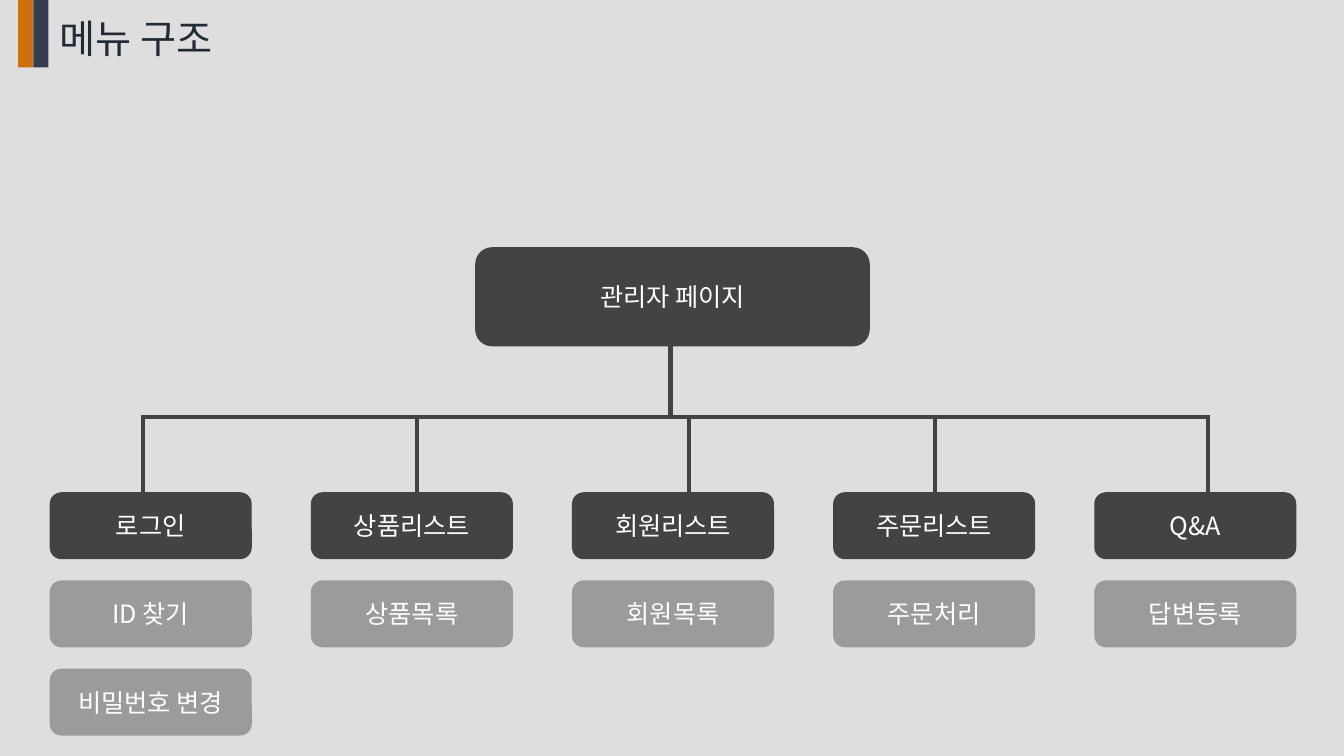
from lxml import etree
from pptx import Presentation
from pptx.dml.color import RGBColor
from pptx.enum.shapes import MSO_CONNECTOR, MSO_SHAPE
from pptx.enum.text import MSO_ANCHOR, MSO_AUTO_SIZE, PP_ALIGN
from pptx.oxml.ns import qn
from pptx.util import Inches, Pt

RECT, ROUNDED = MSO_SHAPE.RECTANGLE, MSO_SHAPE.ROUNDED_RECTANGLE
STRAIGHT = MSO_CONNECTOR.STRAIGHT
MIDDLE, CENTER = MSO_ANCHOR.MIDDLE, PP_ALIGN.CENTER
GROW = MSO_AUTO_SIZE.SHAPE_TO_FIT_TEXT

COLORS = {
    "background": "DFDEDE",
    "dark": "434343",
    "gray": "9B9B9B",
    "orange": "CD700D",
    "navy": "333F50",
    "title": "222A35",
    "white": "FFFFFF",
}
FONT = "Noto Sans CJK KR"

LEFT, COLUMN_STEP = 0.5, 2.59
TOP, ROW_STEP = 4.89, 0.875
BOX_W, BOX_H = 1.99, 0.65
BUS_Y, STEM_TOP = 4.14, 4.12
STEM_XS = [1.42, 4.14, 6.83, 9.27, 11.98]

MENU = [
    ["로그인", "ID 찾기", "비밀번호 변경"],
    ["상품리스트", "상품목록"],
    ["회원리스트", "회원목록"],
    ["주문리스트", "주문처리"],
    ["Q&A", "답변등록"],
]


def rgb(name):
    return RGBColor.from_string(COLORS[name])


def write(tf, text, size, color):
    p = tf.paragraphs[0]
    r = p.add_run()
    r.text = text
    for key, value in {"size": Pt(size), "name": FONT}.items():
        setattr(r.font, key, value)
    r.font.color.rgb = rgb(color)
    etree.SubElement(r.font._element, qn("a:ea")).set("typeface", FONT)
    return p


def add_block(s, kind, box, color):
    sp = s.shapes.add_shape(kind, *map(Inches, box))
    sp.shadow.inherit = False
    sp.fill.solid()
    sp.fill.fore_color.rgb = rgb(color)
    sp.line.fill.background()
    return sp


def add_menu_box(s, text, box, color):
    sp = add_block(s, ROUNDED, box, color)
    sp.line.color.rgb = rgb(color)
    sp.line.width = Pt(1)
    tf = sp.text_frame
    for key, value in {"word_wrap": True, "vertical_anchor": MIDDLE}.items():
        setattr(tf, key, value)
    write(tf, text, 18, "white").alignment = CENTER


def add_line(s, x1, y1, x2, y2):
    line = s.shapes.add_connector(STRAIGHT, *map(Inches, (x1, y1, x2, y2)))
    line.line.color.rgb = rgb("dark")
    line.line.width = Pt(3)
    etree.SubElement(line._element.spPr, qn("a:effectLst"))


def add_title(s, text):
    for x, color in [(0.18, "orange"), (0.33, "navy")]:
        add_block(s, RECT, (x, 0, 0.15, 0.67), color)
    tf = s.shapes.add_textbox(*map(Inches, (0.49, 0.09, 1.91, 0.57))).text_frame
    for key, value in {"word_wrap": False, "auto_size": GROW}.items():
        setattr(tf, key, value)
    write(tf, text, 28, "title")


def add_menu(s):
    for column, labels in enumerate(MENU):
        for row, label in enumerate(labels):
            x, y = LEFT + column * COLUMN_STEP, TOP + row * ROW_STEP
            add_menu_box(s, label, (x, y, BOX_W, BOX_H), "gray" if row else "dark")


def add_branches(s):
    add_line(s, STEM_XS[0], BUS_Y, STEM_XS[-1], BUS_Y)
    for x in STEM_XS:
        add_line(s, x, TOP, x, STEM_TOP)
    add_line(s, 6.65, BUS_Y, 6.65, 3.37)


def main():
    prs = Presentation()
    prs.slide_width, prs.slide_height = Inches(13.33), Inches(7.5)
    s = prs.slides.add_slide(prs.slide_layouts[6])
    s.background.fill.solid()
    s.background.fill.fore_color.rgb = rgb("background")
    add_menu_box(s, "관리자 페이지", (4.72, 2.46, 3.9, 0.97), "dark")
    add_menu(s)
    add_branches(s)
    add_title(s, "메뉴 구조")
    prs.save("out.pptx")


if __name__ == "__main__":
    main()
